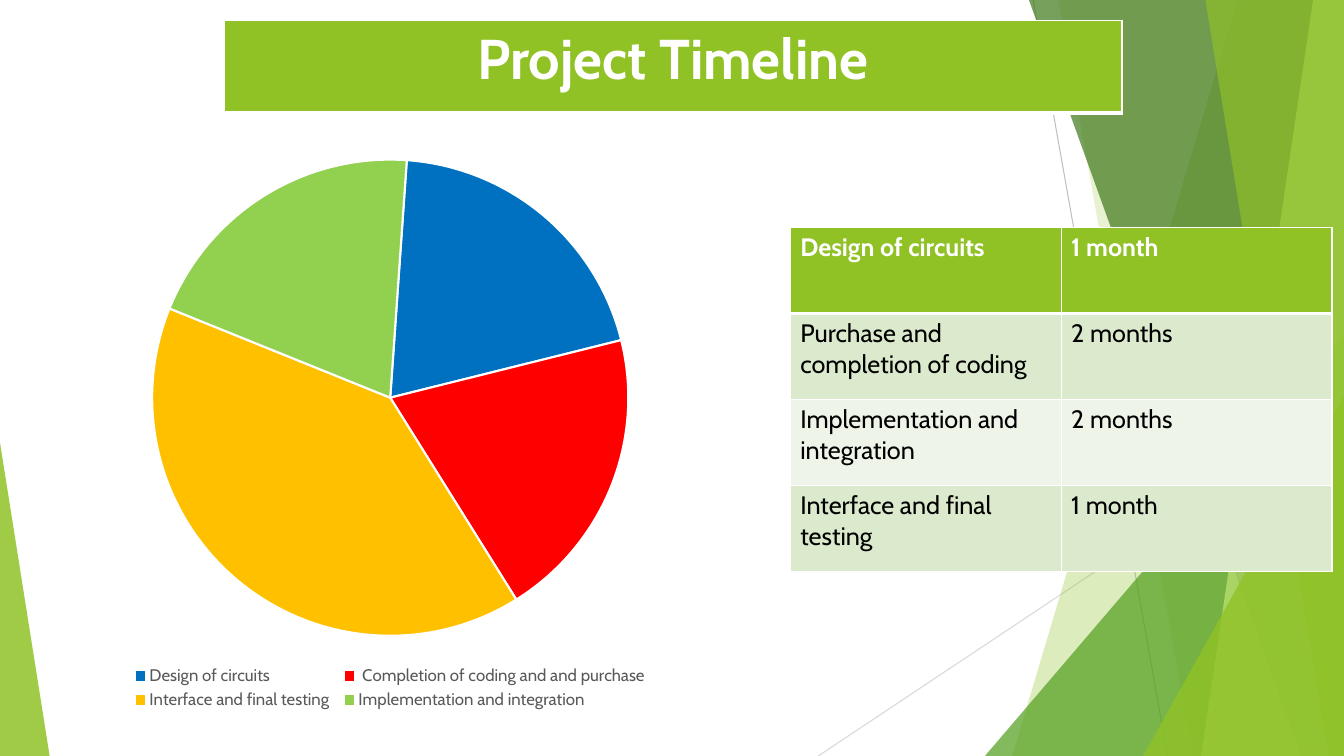
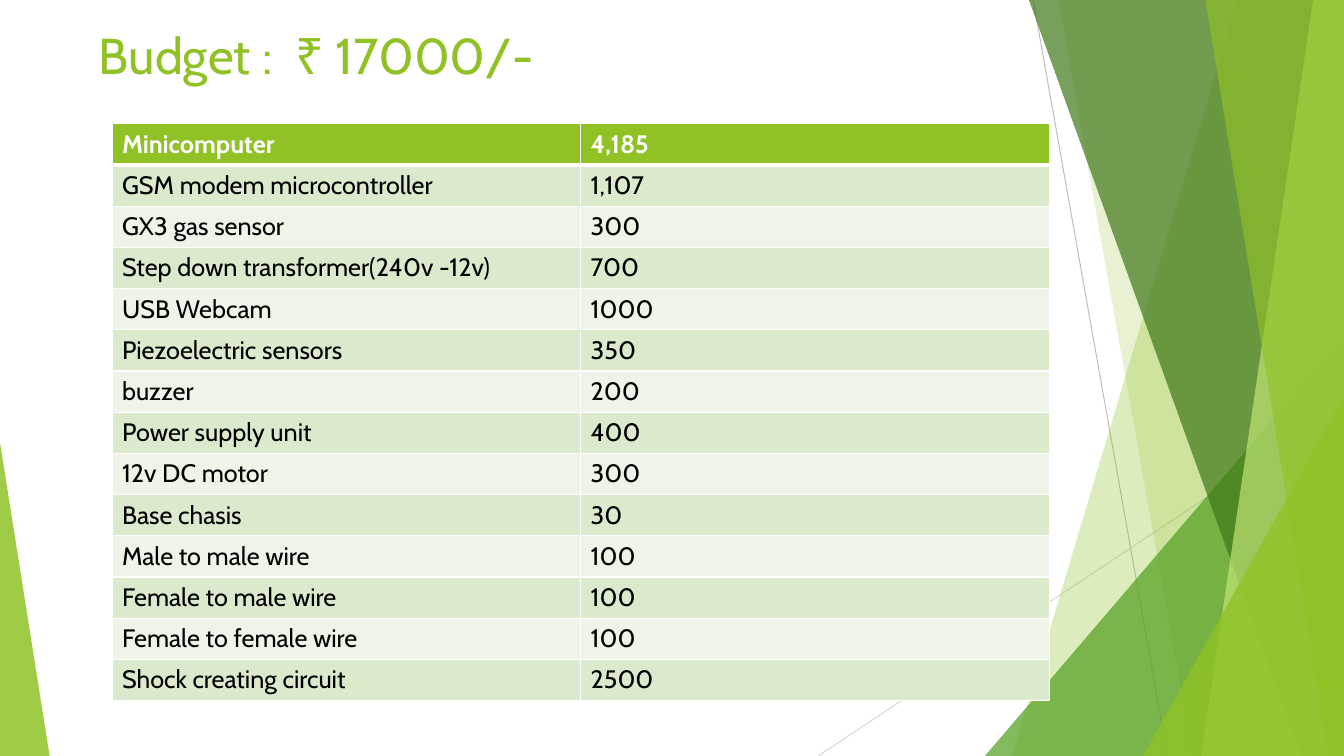
from collections import namedtuple
from dataclasses import dataclass

from lxml.etree import SubElement
from pptx import Presentation
from pptx.chart.data import CategoryChartData
from pptx.dml.color import RGBColor
from pptx.enum.chart import XL_CHART_TYPE, XL_LEGEND_POSITION
from pptx.enum.shapes import MSO_CONNECTOR, MSO_SHAPE
from pptx.enum.text import MSO_ANCHOR, PP_ALIGN
from pptx.oxml import parse_xml
from pptx.oxml.ns import nsdecls, qn
from pptx.util import Pt

Box = namedtuple("Box", "left top width height")


@dataclass(frozen=True)
class Theme:
    """Colours, type sizes and page size of the presentation."""
    font: str = "Cabin"
    green: str = "90C226"
    leaf: str = "54A021"
    forest: str = "3F7819"
    lime: str = "C0E474"
    band_dark: str = "DBE9CD"
    band_light: str = "EEF4E8"
    white: str = "FFFFFF"
    black: str = "000000"
    legend_text: str = "595959"
    line_dark: str = "BFBFBF"
    line_light: str = "D9D9D9"
    slices: tuple = ("0070C0", "FF0000", "FFC000", "92D050")
    banner_size: float = 40
    title_size: float = 36
    body_size: float = 18
    legend_size: float = 12
    thin: float = 1
    thick: float = 3


THEME = Theme()
PAGE = Box(0, 0, 960, 540)

TIMELINE = [
    ("Design of circuits", "1 month"),
    ("Purchase and completion of coding", "2 months"),
    ("Implementation and integration", "2 months"),
    ("Interface and final testing", "1 month"),
]
EFFORT = [
    ("Design of circuits", 20),
    (" Completion of coding and and purchase", 20),
    ("Interface and final testing ", 40),
    ("Implementation and integration ", 20),
]
BUDGET = [
    ("Minicomputer", "4,185"),
    ("GSM modem microcontroller", "1,107"),
    ("GX3 gas sensor", "300"),
    ("Step down transformer(240v -12v)", "700"),
    ("USB Webcam", "1000"),
    ("Piezoelectric sensors", "350"),
    ("buzzer", "200"),
    ("Power supply unit", "400"),
    ("12v DC motor", "300"),
    ("Base chasis", "30"),
    ("Male to male wire", "100"),
    ("Female to male wire", "100"),
    ("Female to female wire", "100"),
    ("Shock creating circuit", "2500"),
]


def rgb(value):
    """Turn a hex string into a colour."""
    return RGBColor.from_string(value)


def points(box):
    """Convert a box to lengths in points."""
    return [Pt(value) for value in box]


def style_font(font, size, color, bold=False):
    """Apply the theme font with a size and colour."""
    font.name = THEME.font
    font.size = Pt(size)
    font.bold = bold
    font.color.rgb = rgb(color)


def write(text_frame, text, size=THEME.body_size, color=THEME.black,
          bold=False, align=PP_ALIGN.LEFT):
    """Write one formatted paragraph into a text frame."""
    text_frame.word_wrap = True
    paragraph = text_frame.paragraphs[0]
    paragraph.alignment = align
    run = paragraph.add_run()
    run.text = text
    style_font(run.font, size, color, bold)


def paint(shape, color, opacity):
    """Give a shape a translucent fill without line or shadow."""
    shape.shadow.inherit = False
    shape.line.fill.background()
    shape.fill.solid()
    shape.fill.fore_color.rgb = rgb(color)
    color_element = shape.fill._xPr.find(qn("a:solidFill"))[0]
    SubElement(color_element, qn("a:alpha"), val=str(opacity * 1000))


def add_line(slide, start, end, color):
    """Draw a thin straight line."""
    connector = slide.shapes.add_connector(
        MSO_CONNECTOR.STRAIGHT, *points(start + end))
    connector.line.color.rgb = rgb(color)
    connector.line.width = Pt(0.75)
    SubElement(connector._element.spPr, qn("a:effectLst"))


def add_blade(slide, page, top_x, bottom_x, color, opacity):
    """Draw a full-height blade that ends at the right page edge."""
    right, bottom = page.left + page.width, page.top + page.height
    builder = slide.shapes.build_freeform(Pt(top_x), Pt(page.top), scale=1.0)
    corners = [(right, page.top), (right, bottom), (bottom_x, bottom)]
    builder.add_line_segments([points(corner) for corner in corners])
    paint(builder.convert_to_shape(), color, opacity)


def add_corner(slide, page, width, height, color, opacity, on_right=True):
    """Draw a right triangle standing in a bottom corner of the page."""
    left = page.left + (page.width - width if on_right else 0)
    box = Box(left, page.top + page.height - height, width, height)
    shape = slide.shapes.add_shape(MSO_SHAPE.ISOSCELES_TRIANGLE, *points(box))
    shape.adjustments[0] = 1 if on_right else 0
    paint(shape, color, opacity)


def add_backdrop(slide, page):
    """Draw the green facets shared by all slides."""
    add_line(slide, (738, 0), (834, 540), THEME.line_dark)
    add_line(slide, (960, 290), (584.5, 540), THEME.line_light)
    add_blade(slide, page, 884, 723, THEME.green, 30)
    add_blade(slide, page, 756, 852, THEME.green, 20)
    add_corner(slide, page, 256.5, 300, THEME.leaf, 72)
    add_blade(slide, page, 735, 929.5, THEME.forest, 70)
    add_blade(slide, page, 938, 858, THEME.lime, 70)
    add_blade(slide, page, 861, 949, THEME.green, 65)
    add_corner(slide, page, 143.5, 257, THEME.green, 80)
    add_corner(slide, page, 35.5, 224, THEME.green, 85, on_right=False)


def set_borders(cell, top, bottom):
    """Give a cell white borders with the given top and bottom widths."""
    properties = cell._tc.get_or_add_tcPr()
    widths = {"L": THEME.thin, "R": THEME.thin, "T": top, "B": bottom}
    for side, width in widths.items():
        line = SubElement(properties, qn(f"a:ln{side}"), w=str(Pt(width)))
        fill = SubElement(line, qn("a:solidFill"))
        SubElement(fill, qn("a:srgbClr"), val=THEME.white)


def add_banded_table(slide, box, rows, size=THEME.body_size,
                     align=PP_ALIGN.LEFT):
    """Add a table with a green first row and banded rows below."""
    columns = len(rows[0])
    table = slide.shapes.add_table(len(rows), columns, *points(box)).table
    for column in table.columns:
        column.width = Pt(box.width / columns)
    for row_index, values in enumerate(rows):
        table.rows[row_index].height = Pt(box.height / len(rows))
        header = row_index == 0
        band = THEME.band_dark if row_index % 2 else THEME.band_light
        for column_index, value in enumerate(values):
            cell = table.cell(row_index, column_index)
            set_borders(cell,
                        top=THEME.thick if row_index == 1 else THEME.thin,
                        bottom=THEME.thick if header else THEME.thin)
            cell.fill.solid()
            cell.fill.fore_color.rgb = rgb(THEME.green if header else band)
            write(cell.text_frame, value, size=size, bold=header, align=align,
                  color=THEME.white if header else THEME.black)


def place_plot(chart, left, top, width, height):
    """Fix the plot area at fractions of the chart box."""
    plot_area = chart._chartSpace.chart.plotArea
    for layout in plot_area.findall(qn("c:layout")):
        plot_area.remove(layout)
    plot_area.insert(0, parse_xml(
        f'<c:layout {nsdecls("c")}><c:manualLayout>'
        '<c:layoutTarget val="inner"/>'
        '<c:xMode val="edge"/><c:yMode val="edge"/>'
        f'<c:x val="{left}"/><c:y val="{top}"/>'
        f'<c:w val="{width}"/><c:h val="{height}"/>'
        '</c:manualLayout></c:layout>'))


def add_effort_pie(slide, box, shares):
    """Add the pie chart of project phases with its legend."""
    data = CategoryChartData()
    data.categories = [name for name, _ in shares]
    data.add_series("Series 1", [share for _, share in shares])
    chart = slide.shapes.add_chart(
        XL_CHART_TYPE.PIE, *points(box), data).chart
    chart.has_title = False
    style_font(chart.font, 10, THEME.black)
    chart.has_legend = True
    chart.legend.position = XL_LEGEND_POSITION.BOTTOM
    chart.legend.include_in_layout = False
    style_font(chart.legend.font, THEME.legend_size, THEME.legend_text)
    plot = chart.plots[0]
    plot.vary_by_categories = True
    for index, color in enumerate(THEME.slices):
        slice_format = plot.series[0].points[index].format
        slice_format.fill.solid()
        slice_format.fill.fore_color.rgb = rgb(color)
        slice_format.line.color.rgb = rgb(THEME.white)
        slice_format.line.width = Pt(1.5)
    pie = plot._element
    for angle in pie.findall(qn("c:firstSliceAng")):
        pie.remove(angle)
    SubElement(pie, qn("c:firstSliceAng"), val="4")
    place_plot(chart, 0.18, 0.02, 0.64, 0.85)


def add_title(slide, box, text):
    """Add a plain green slide title."""
    text_frame = slide.shapes.add_textbox(*points(box)).text_frame
    text_frame.vertical_anchor = MSO_ANCHOR.TOP
    write(text_frame, text, size=THEME.title_size, color=THEME.green)


def add_slide(presentation):
    """Add a blank slide with the shared backdrop."""
    slide = presentation.slides.add_slide(presentation.slide_layouts[6])
    add_backdrop(slide, PAGE)
    return slide


def build_timeline(presentation):
    """Build the project timeline slide."""
    slide = add_slide(presentation)
    add_effort_pie(slide, Box(13, 103, 531.5, 407), EFFORT)
    add_banded_table(slide, Box(564.5, 162.5, 387, 245.5), TIMELINE)
    add_banded_table(slide, Box(160, 14.5, 641.5, 66), [("Project Timeline",)],
                     size=THEME.banner_size, align=PP_ALIGN.CENTER)


def build_budget(presentation):
    """Build the budget slide."""
    slide = add_slide(presentation)
    add_title(slide, Box(63.5, 13.5, 677, 104), "Budget :  ₹ 17000/-")
    add_banded_table(slide, Box(80, 88.5, 669.5, 412), BUDGET)


def main():
    """Create and save the presentation."""
    presentation = Presentation()
    presentation.slide_width = Pt(PAGE.width)
    presentation.slide_height = Pt(PAGE.height)
    build_timeline(presentation)
    build_budget(presentation)
    presentation.save("out.pptx")


if __name__ == "__main__":
    main()
